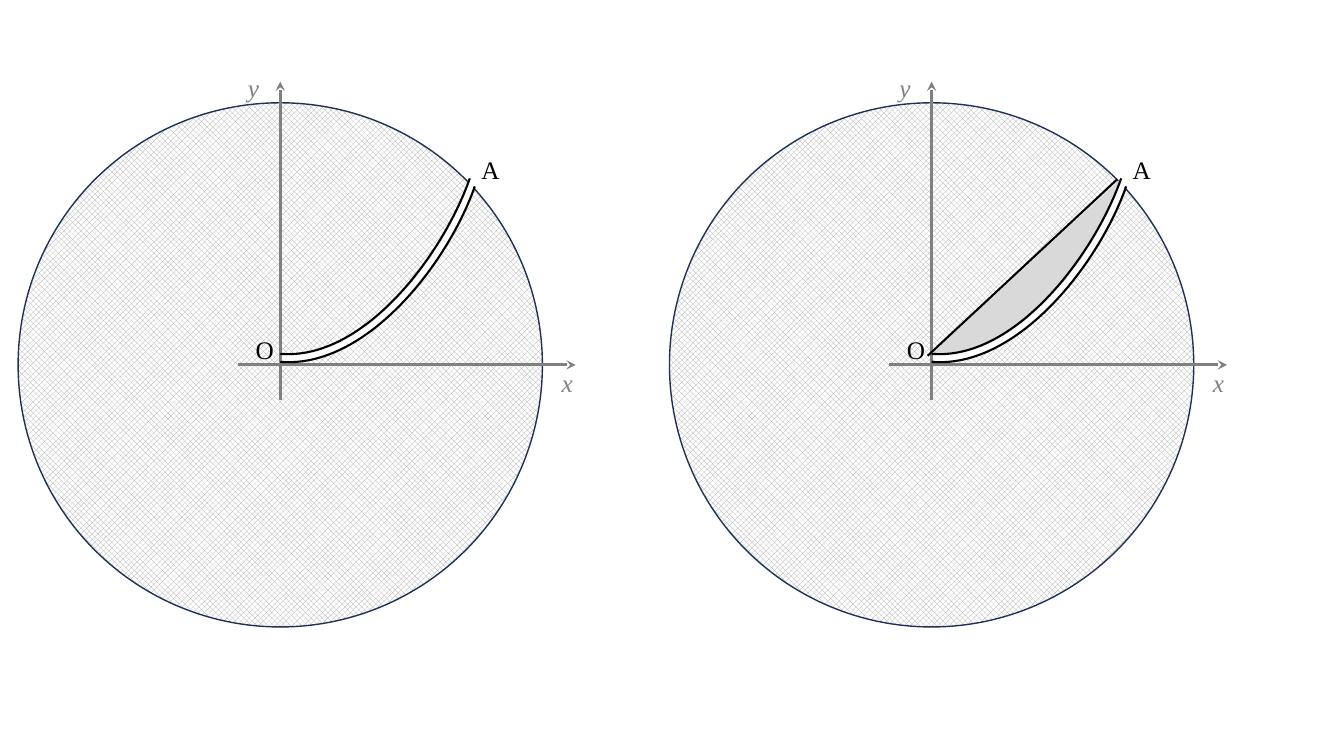
from dataclasses import dataclass

from lxml import etree
from pptx import Presentation
from pptx.dml.color import RGBColor
from pptx.enum.dml import MSO_PATTERN
from pptx.enum.shapes import MSO_CONNECTOR, MSO_SHAPE
from pptx.enum.text import MSO_AUTO_SIZE, PP_ALIGN
from pptx.oxml.ns import qn
from pptx.util import Pt

STRAIGHT = MSO_CONNECTOR.STRAIGHT
ELLIPSE = MSO_SHAPE.OVAL
DIAMONDS = MSO_PATTERN.OUTLINED_DIAMOND
FIT_SHAPE = MSO_AUTO_SIZE.SHAPE_TO_FIT_TEXT
CENTER = PP_ALIGN.CENTER


@dataclass(frozen=True)
class Theme:
    font: str = "Times New Roman"
    label_size: float = 18
    ink: str = "000000"
    paper: str = "FFFFFF"
    axis: str = "808080"
    rim: str = "1E3256"
    hatch: str = "A6A6A6"
    segment: str = "D9D9D9"
    rim_width: float = 1
    axis_width: float = 2.25
    groove_width: float = 4
    edge_width: float = 1.5


THEME = Theme()

# Content in px, 100 px to the inch; places are those in the left panel
EMU_PER_PX = 9144
SLIDE_SIZE = (1333, 750)
PANELS = [  # shift to the right, whether the segment under chord OA is shown
    (0, False),
    (646, True),
]
DISC = (18, 102, 520, 520)
AXES = [((278, 397), (278, 81)), ((236, 362), (571, 362))]
# Bezier curves from A to O: start, two control points, end
GROOVE = [(468, 181), (441, 261), (362, 361), (280, 355)]
LOWER_EDGE = [(471, 185), (443, 264), (362, 366), (278, 359)]
UPPER_EDGE = [(466, 177), (438, 256), (359, 358), (278, 351)]
CHORD = ((274, 353), (462, 178))
LABEL_SIZE = (31, 30)
LABELS = [  # text, left, top, colour, italic
    ("x", 547, 364, THEME.axis, True),
    ("y", 236, 72, THEME.axis, True),
    ("O", 247, 332, THEME.ink, False),
    ("A", 471, 153, THEME.ink, False),
]


def emu(*lengths):
    return [length * EMU_PER_PX for length in lengths]


def rgb(colour):
    return RGBColor.from_string(colour)


def set_line(shape, colour, width):
    shape.line.color.rgb = rgb(colour)
    shape.line.width = Pt(width)


def add_disc(shapes, dx):
    left, top, width, height = DISC
    disc = shapes.add_shape(ELLIPSE, *emu(left + dx, top, width, height))
    disc.shadow.inherit = False
    disc.fill.patterned()
    disc.fill.pattern = DIAMONDS
    disc.fill.fore_color.rgb = rgb(THEME.hatch)
    disc.fill.back_color.rgb = rgb(THEME.paper)
    set_line(disc, THEME.rim, THEME.rim_width)


def add_straight(shapes, dx, ends, colour, width, arrow=False):
    (x1, y1), (x2, y2) = ends
    straight = shapes.add_connector(STRAIGHT, *emu(x1 + dx, y1, x2 + dx, y2))
    set_line(straight, colour, width)
    if arrow:
        etree.SubElement(straight.line._get_or_add_ln(), qn("a:tailEnd"), type="stealth")
    etree.SubElement(straight._element.spPr, qn("a:effectLst"))


def add_curve(shapes, dx, points, colour, width, fill=None):
    start, *controls, end = [(x + dx, y) for x, y in points]
    builder = shapes.build_freeform(*start, scale=EMU_PER_PX)
    builder.add_line_segments([end], close=False)
    curve = builder.convert_to_shape()
    curve.shadow.inherit = False
    # Turn the straight segment into a cubic one, in the curve's own coordinates
    segment = next(curve._element.iter(qn("a:lnTo")))
    bezier = etree.Element(qn("a:cubicBezTo"))
    left, top = end[0], start[1]
    for x, y in (*controls, end):
        etree.SubElement(bezier, qn("a:pt"), x=str(x - left), y=str(y - top))
    segment.getparent().replace(segment, bezier)
    if fill:
        curve.fill.solid()
        curve.fill.fore_color.rgb = rgb(fill)
    else:
        curve.fill.background()
    set_line(curve, colour, width)


def add_label(shapes, dx, text, left, top, colour, italic):
    label = shapes.add_textbox(*emu(left + dx, top, *LABEL_SIZE))
    frame = label.text_frame
    frame.margin_left = frame.margin_right = frame.margin_top = frame.margin_bottom = 0
    frame.word_wrap = True
    frame.auto_size = FIT_SHAPE
    frame.text = text
    paragraph = frame.paragraphs[0]
    paragraph.alignment = CENTER
    font = paragraph.runs[0].font
    font.name = THEME.font
    font.size = Pt(THEME.label_size)
    font.italic = italic
    font.color.rgb = rgb(colour)


def add_panel(shapes, dx, with_segment):
    add_disc(shapes, dx)
    for axis in AXES:
        add_straight(shapes, dx, axis, THEME.axis, THEME.axis_width, arrow=True)
    # White groove between two black edges
    add_curve(shapes, dx, GROOVE, THEME.paper, THEME.groove_width)
    add_curve(shapes, dx, LOWER_EDGE, THEME.ink, THEME.edge_width)
    add_curve(shapes, dx, UPPER_EDGE, THEME.ink, THEME.edge_width,
              fill=THEME.segment if with_segment else None)
    for label in LABELS:
        add_label(shapes, dx, *label)
    if with_segment:
        add_straight(shapes, dx, CHORD, THEME.ink, THEME.edge_width)


def main():
    presentation = Presentation()
    presentation.slide_width, presentation.slide_height = emu(*SLIDE_SIZE)
    slide = presentation.slides.add_slide(presentation.slide_layouts[6])
    for dx, with_segment in PANELS:
        add_panel(slide.shapes, dx, with_segment)
    presentation.save("out.pptx")


if __name__ == "__main__":
    main()
